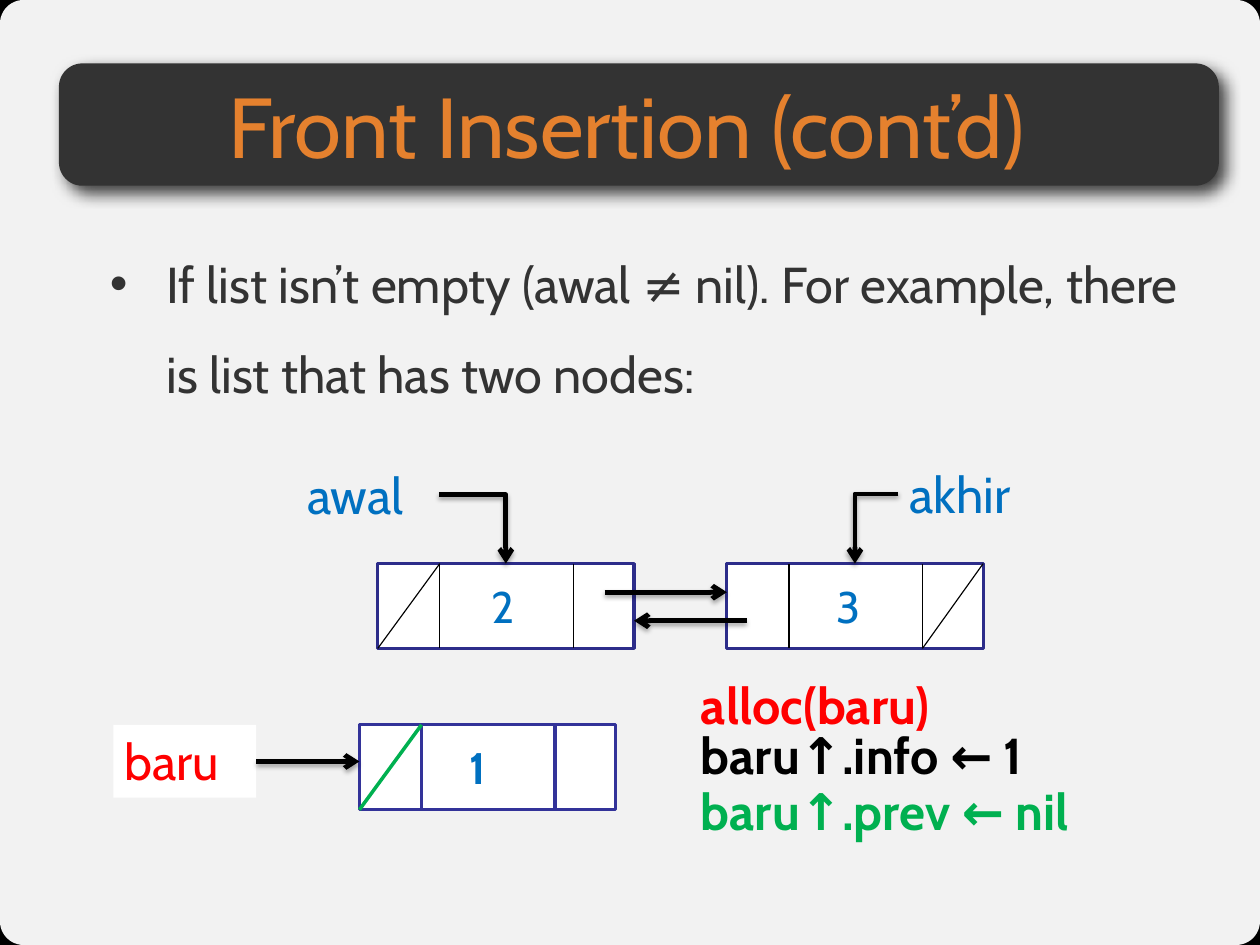
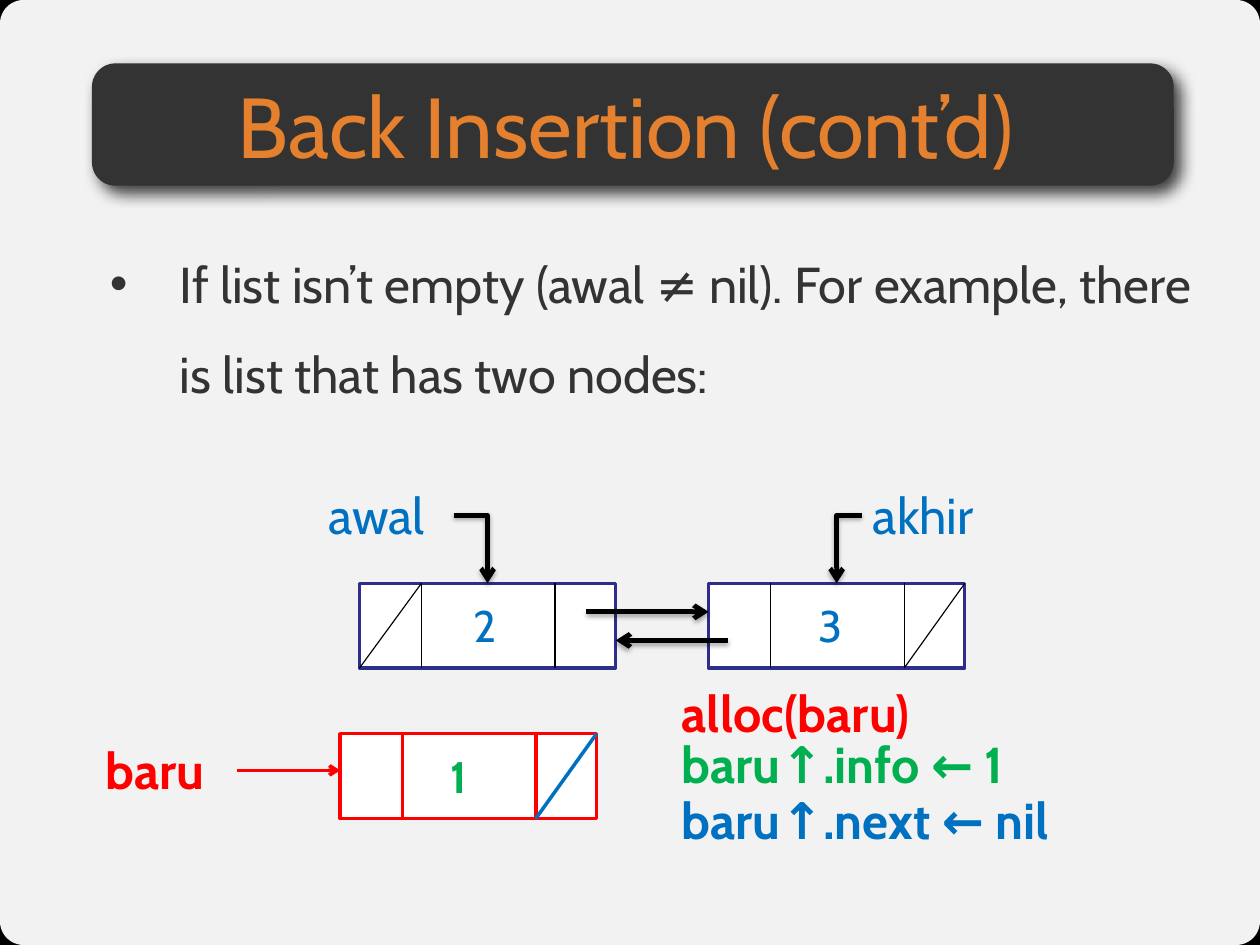
"""Build two slides on inserting a node into a doubly linked list."""
from dataclasses import dataclass

from lxml import etree
from pptx import Presentation
from pptx import util as u
from pptx.dml import color
from pptx.enum import shapes, text
from pptx.oxml import ns

COLORS = {
    "black": "000000", "white": "FFFFFF", "charcoal": "333333",
    "orange": "E5812E", "navy": "2D2D8A", "indigo": "333399",
    "blue": "0070C0", "red": "FF0000", "green": "00B050",
}
FONT = "Cabin"
PAGE_WIDTH, PAGE_HEIGHT = 28.22, 21.16
NODE_WIDTH, NODE_HEIGHT = 5.74, 1.9
DIVIDERS = (1.39, 4.38)
NODE_GAP = 7.82
LABEL_WIDTH, LABEL_HEIGHT = 3.2, 1.63
LABEL_MIDDLE = 0.82
STEP_OFFSETS = (-1.27, -0.15, 1.12)
BODY = "If list isn’t empty (awal ≠ nil). For example, there is list that has two nodes:"


@dataclass(frozen=True)
class Pen:
    color: str
    width: float


@dataclass(frozen=True)
class Shadow:
    alpha: int
    blur: float
    distance: float
    angle: int


@dataclass(frozen=True)
class Node:
    left: float
    top: float
    value: str
    frame: Pen
    divider: Pen
    slash: Pen
    slash_right: bool = False
    value_color: str = "blue"
    bold: bool = False
    value_left: float = 2.21


@dataclass(frozen=True)
class Label:
    left: float
    top: float
    words: str
    color: str
    bold: bool = False
    width: float = LABEL_WIDTH
    height: float = LABEL_HEIGHT
    size: int = 32
    fill: str | None = None


@dataclass(frozen=True)
class Lesson:
    title: str
    bar: tuple[float, float]
    heading: tuple[float, float]
    indent: float
    chain: tuple[float, float]
    awal: Label
    akhir: Label
    baru: Label
    baru_arrow: Pen
    baru_shadow: Shadow | None
    new_node: Node
    steps: tuple[tuple[str, str], ...]


BAR_SHADOW = Shadow(75, 10, 6, 51)
ARROW_SHADOW = Shadow(35, 3.1, 1.8, 90)
ARROW = Pen("black", 3)
THIN = Pen("black", 0.75)
NAVY = Pen("navy", 2)
INDIGO = Pen("indigo", 2)
RED = Pen("red", 2.25)

LESSONS = (
    Lesson(
        "Front Insertion (cont’d)", (1.32, 25.98), (1.32, 25.43), 1.27, (8.46, 12.62),
        Label(6.63, 10.26, "awal", "blue"),
        Label(20.12, 10.24, "akhir", "blue"),
        Label(2.54, 16.23, "baru", "red", fill="white"),
        ARROW, ARROW_SHADOW,
        Node(8.05, 16.23, "1", INDIGO, INDIGO, Pen("green", 2.25), bold=True),
        (("alloc(baru)", "red"), ("baru↑.info ← 1", "black"), ("baru↑.prev ← nil", "green")),
    ),
    Lesson(
        "Back Insertion (cont’d)", (2.06, 24.23), (1.73, 24.56), 1.57, (8.05, 13.06),
        Label(7.11, 10.72, "awal", "blue", width=3.05),
        Label(19.3, 10.72, "akhir", "blue"),
        Label(2.11, 16.43, "baru", "red", True),
        RED, None,
        Node(7.62, 16.43, "1", RED, RED, Pen("blue", 2.25), True, "green", True),
        (("alloc(baru)", "red"), ("baru↑.info ← 1", "green"), ("baru↑.next ← nil", "blue")),
    ),
)


def rgb(name: str) -> color.RGBColor:
    return color.RGBColor.from_string(COLORS[name])


def place(box, left: float, top: float, width: float, height: float) -> None:
    box.left, box.top, box.width, box.height = map(u.Cm, (left, top, width, height))


def set_effects(item, shadow: Shadow | None) -> None:
    properties = item.element.spPr
    effects = properties.find(ns.qn("a:effectLst"))
    if effects is None:
        effects = etree.SubElement(properties, ns.qn("a:effectLst"))
    if shadow:
        outer = etree.SubElement(
            effects, ns.qn("a:outerShdw"), blurRad=str(u.Pt(shadow.blur)),
            dist=str(u.Pt(shadow.distance)), dir=str(shadow.angle * 60000),
            algn="ctr", rotWithShape="0")
        tint = etree.SubElement(outer, ns.qn("a:srgbClr"), val=COLORS["black"])
        etree.SubElement(tint, ns.qn("a:alpha"), val=str(shadow.alpha * 1000))


def draw_pen(line, pen: Pen) -> None:
    line.color.rgb = rgb(pen.color)
    line.width = u.Pt(pen.width)


def write(frame, words: str, size: int, tint: str, bold: bool = False):
    para = frame.paragraphs[0]
    span = para.add_run()
    span.text = words
    for font in (para.font, span.font):
        font.name, font.size, font.bold = FONT, u.Pt(size), bold
        font.color.rgb = rgb(tint)
    return para


def add_block(page, kind, left: float, top: float, width: float, height: float, fill: str):
    block = page.shapes.add_shape(kind, *map(u.Cm, (left, top, width, height)))
    block.shadow.inherit = False
    block.fill.solid()
    block.fill.fore_color.rgb = rgb(fill)
    block.line.fill.background()
    return block


def add_line(page, start: tuple[float, float], end: tuple[float, float], pen: Pen,
             arrow: bool = False, shadow: Shadow | None = None, bent: bool = False):
    kind = shapes.MSO_CONNECTOR.ELBOW if bent else shapes.MSO_CONNECTOR.STRAIGHT
    line = page.shapes.add_connector(kind, *map(u.Cm, (*start, *end)))
    draw_pen(line.line, pen)
    properties = line.element.spPr
    if bent:
        properties.find(ns.qn("a:prstGeom")).set("prst", "bentConnector2")
    if arrow:
        etree.SubElement(properties.find(ns.qn("a:ln")), ns.qn("a:tailEnd"), type="arrow")
    set_effects(line, shadow)


def add_label(page, label: Label) -> None:
    box = page.shapes.add_textbox(
        *map(u.Cm, (label.left, label.top, label.width, label.height)))
    if label.fill:
        box.fill.solid()
        box.fill.fore_color.rgb = rgb(label.fill)
    box.text_frame.word_wrap = True
    box.text_frame.auto_size = text.MSO_AUTO_SIZE.SHAPE_TO_FIT_TEXT
    write(box.text_frame, label.words, label.size, label.color, label.bold)


def add_node(page, node: Node) -> None:
    bottom = node.top + NODE_HEIGHT
    frame = add_block(page, shapes.MSO_SHAPE.RECTANGLE, node.left, node.top,
                      NODE_WIDTH, NODE_HEIGHT, "white")
    draw_pen(frame.line, node.frame)
    for offset in DIVIDERS:
        x = node.left + offset
        add_line(page, (x, node.top), (x, bottom), node.divider)
    low, high = (DIVIDERS[1], NODE_WIDTH) if node.slash_right else (0, DIVIDERS[0])
    add_line(page, (node.left + high, node.top), (node.left + low, bottom), node.slash)
    add_label(page, Label(node.left + node.value_left, node.top + 0.22, node.value,
                          node.value_color, node.bold, 1.6, 1.45, 28))


def add_chain(page, lesson: Lesson) -> None:
    left, top = lesson.chain
    second = left + NODE_GAP
    add_node(page, Node(left, top, "2", NAVY, THIN, THIN, value_left=2.31))
    add_node(page, Node(second, top, "3", NAVY, THIN, THIN, True))
    links = ((left + 5.08, second, 0.64), (second + 0.44, left + NODE_WIDTH, 1.28))
    for start, end, drop in links:
        add_line(page, (start, top + drop), (end, top + drop), ARROW, True, ARROW_SHADOW)
    awal, akhir = lesson.awal, lesson.akhir
    pointers = ((awal, awal.left + awal.width, left), (akhir, akhir.left, second))
    for label, edge, target in pointers:
        add_label(page, label)
        add_line(page, (edge, label.top + LABEL_MIDDLE), (target + NODE_WIDTH / 2, top),
                 ARROW, True, ARROW_SHADOW, bent=True)


def add_new_node(page, lesson: Lesson) -> None:
    node, label = lesson.new_node, lesson.baru
    add_node(page, node)
    add_label(page, label)
    y = label.top + LABEL_MIDDLE
    add_line(page, (label.left + label.width, y), (node.left, y), lesson.baru_arrow,
             True, lesson.baru_shadow)
    for (words, tint), offset in zip(lesson.steps, STEP_OFFSETS):
        add_label(page, Label(node.left + 7.4, node.top + offset, words, tint, True, 10.3))


def add_frame(page, lesson: Lesson) -> None:
    page.background.fill.solid()
    page.background.fill.fore_color.rgb = rgb("black")
    rounded = shapes.MSO_SHAPE.ROUNDED_RECTANGLE
    panel = add_block(page, rounded, 0, 0, PAGE_WIDTH, PAGE_HEIGHT, "white")
    panel.adjustments[0] = 0.025
    tint = panel.element.spPr.find(ns.qn("a:solidFill")).find(ns.qn("a:srgbClr"))
    etree.SubElement(tint, ns.qn("a:alpha"), val="95000")
    left, width = lesson.bar
    bar = add_block(page, rounded, left, 1.42, width, 2.74, "charcoal")
    bar.adjustments[0] = 0.192
    set_effects(bar, BAR_SHADOW)

    title, body = page.shapes.title, page.placeholders[1]
    for backdrop in (panel, bar):
        title.element.addprevious(backdrop.element)
    for holder in (title, body):
        frame = holder.text_frame
        frame.margin_left = frame.margin_right = frame.margin_top = frame.margin_bottom = 0
        frame.word_wrap = True
        frame.auto_size = text.MSO_AUTO_SIZE.NONE
    left, width = lesson.heading
    place(title, left, 1.52, width, 2.54)
    title.text_frame.vertical_anchor = text.MSO_ANCHOR.MIDDLE
    para = write(title.text_frame, lesson.title, 54, "orange")
    para.alignment = text.PP_ALIGN.CENTER

    place(body, 2.46, 4.98, 24.28, 14.2)
    para = write(body.text_frame, BODY, 32, "charcoal")
    para.line_spacing = 1.5
    para.space_before = u.Pt(0)
    properties = para._p.get_or_add_pPr()
    properties.set("marL", str(u.Cm(lesson.indent)))
    properties.set("indent", str(-u.Cm(lesson.indent)))


def main() -> None:
    deck = Presentation()
    deck.slide_width, deck.slide_height = u.Cm(PAGE_WIDTH), u.Cm(PAGE_HEIGHT)
    for lesson in LESSONS:
        page = deck.slides.add_slide(deck.slide_layouts[1])
        add_frame(page, lesson)
        add_chain(page, lesson)
        add_new_node(page, lesson)
    deck.save("out.pptx")


if __name__ == "__main__":
    main()
